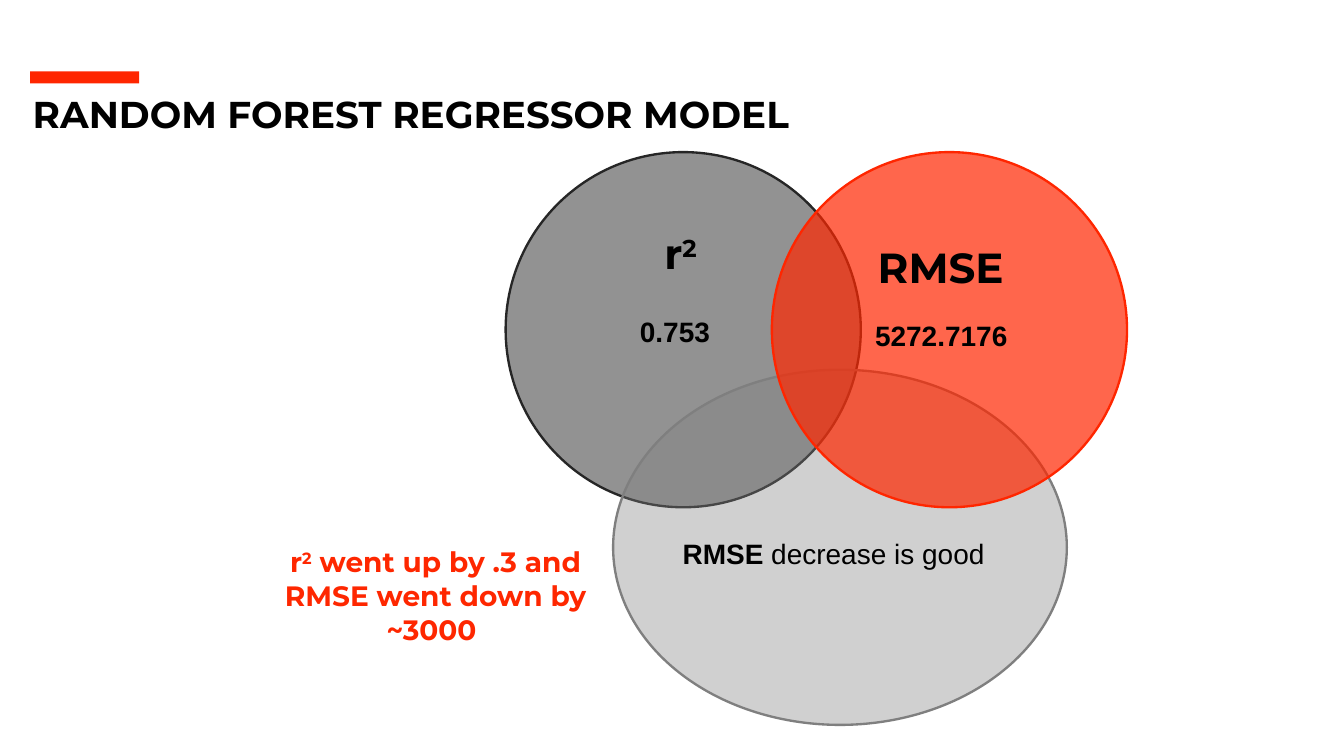
from dataclasses import dataclass

from lxml import etree
from pptx import Presentation
from pptx.dml.color import RGBColor
from pptx.enum.shapes import MSO_SHAPE
from pptx.enum.text import MSO_ANCHOR, PP_ALIGN
from pptx.oxml.ns import qn
from pptx.util import Cm, Pt

OVAL, RECTANGLE = MSO_SHAPE.OVAL, MSO_SHAPE.RECTANGLE
TOP, MIDDLE = MSO_ANCHOR.TOP, MSO_ANCHOR.MIDDLE
LEFT, CENTER = PP_ALIGN.LEFT, PP_ALIGN.CENTER


@dataclass(frozen=True)
class Theme:
    accent: str = "FF2600"
    dark: str = "262626"
    grey: str = "7F7F7F"
    ink: str = "000000"
    note: str = "FE2700"
    heading_font: str = "Montserrat"
    body_font: str = "Arial"
    title_size: int = 32
    metric_size: int = 36
    body_size: int = 24
    outline: int = 2


@dataclass(frozen=True)
class Box:
    left: float
    top: float
    width: float
    height: float

    def lengths(self):
        return Cm(self.left), Cm(self.top), Cm(self.width), Cm(self.height)


@dataclass(frozen=True)
class Part:
    text: str
    bold: bool = True
    raised: bool = False


THEME = Theme()
LABEL_HEIGHT = 1.8
R_SQUARED = (Part("r"), Part("2", raised=True))


def add_filled(slide, geometry, box, color, opacity=100):
    shape = slide.shapes.add_shape(geometry, *box.lengths())
    shape.shadow.inherit = False
    shape.fill.solid()
    shape.fill.fore_color.rgb = RGBColor.from_string(color)
    if opacity < 100:
        tint = shape.fill._xPr.find(qn("a:solidFill"))[0]
        etree.SubElement(tint, qn("a:alpha")).set("val", str(opacity * 1000))
    shape.line.fill.background()
    return shape


def add_text(slide, box, parts, font, size, color=THEME.ink,
             align=LEFT, anchor=MIDDLE, spacing=1.0):
    frame = slide.shapes.add_textbox(*box.lengths()).text_frame
    frame.word_wrap = True
    frame.vertical_anchor = anchor
    frame.margin_left = frame.margin_right = 0
    frame.margin_top = frame.margin_bottom = 0
    paragraph = frame.paragraphs[0]
    paragraph.alignment = align
    paragraph.line_spacing = spacing
    for part in parts:
        run = paragraph.add_run()
        run.text = part.text
        run.font.name = font
        run.font.size = Pt(size)
        run.font.bold = part.bold
        run.font.color.rgb = RGBColor.from_string(color)
        if part.raised:
            run.font._element.set("baseline", "30000")


def add_heading(slide, box):
    add_filled(slide, RECTANGLE, Box(box.left, box.top, 3.3, 0.36), THEME.accent)
    title = Box(box.left + 0.08, box.top + 0.46, box.width, box.height - 0.46)
    add_text(slide, title, [Part("RANDOM FOREST REGRESSOR MODEL")],
             THEME.heading_font, THEME.title_size, anchor=TOP, spacing=1.1)


def add_venn_set(slide, box, color, opacity, labels):
    oval = add_filled(slide, OVAL, box, color, opacity)
    oval.line.color.rgb = RGBColor.from_string(color)
    oval.line.width = Pt(THEME.outline)
    for across, middle, parts, font, size in labels:
        label = Box(box.left + across, box.top + middle - LABEL_HEIGHT / 2,
                    box.width - across, LABEL_HEIGHT)
        add_text(slide, label, parts, font, size)


def add_venn(slide, box):
    metric = THEME.heading_font, THEME.metric_size
    body = THEME.body_font, THEME.body_size
    diameter = 10.74
    r_squared = Box(box.left, box.top, diameter, diameter)
    verdict = Box(box.left + 3.25, box.top + box.height - diameter, 13.72, diameter)
    rmse = Box(box.left + box.width - diameter, box.top, diameter, diameter)
    add_venn_set(slide, r_squared, THEME.dark, 50, [
        (4.8, 3.05, R_SQUARED, *metric),
        (4.06, 5.41, [Part("0.753")], *body),
    ])
    add_venn_set(slide, verdict, THEME.grey, 36, [
        (2.1, 5.56, [Part("RMSE"), Part(" decrease is good", bold=False)], *body),
    ])
    add_venn_set(slide, rmse, THEME.accent, 70, [
        (3.2, 3.48, [Part("RMSE")], *metric),
        (3.12, 5.54, [Part("5272.7176")], *body),
    ])


def add_note(slide, box):
    change = Part(" went up by .3 and RMSE went down by ~3000 ")
    add_text(slide, box, [*R_SQUARED, change], THEME.heading_font,
             THEME.body_size, color=THEME.note, align=CENTER)


def main():
    deck = Presentation()
    deck.slide_width, deck.slide_height = Cm(40.64), Cm(22.86)
    slide = deck.slides.add_slide(deck.slide_layouts[6])
    add_heading(slide, Box(0.91, 2.16, 34.4, 1.96))
    add_venn(slide, Box(15.29, 4.6, 18.79, 17.32))
    add_note(slide, Box(8, 16, 10.34, 4))
    deck.save("out.pptx")


if __name__ == "__main__":
    main()
